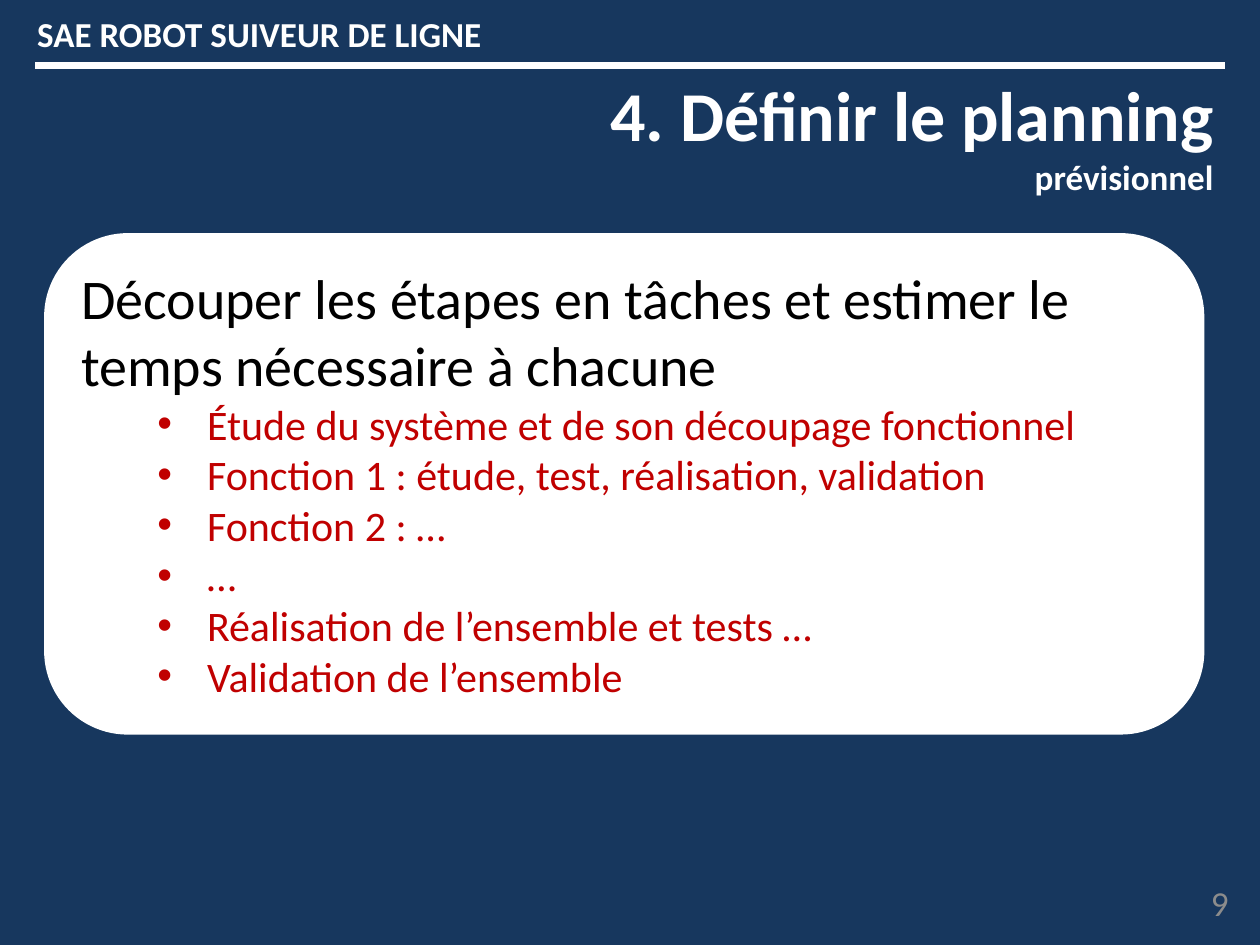
"""Build the planning slide of the line-following robot project."""
from lxml import etree
from pptx import Presentation
from pptx import util as u
from pptx.dml import color
from pptx.enum import shapes, text
from pptx.oxml import ns

HUES = {"navy": "17375E", "white": "FFFFFF", "black": "000000",
        "red": "C00000", "grey": "8C8C8C"}
BASE = {"name": "Calibri", "bold": False}
HEAD = {"name": "Calibri", "bold": True}
LEFT, RIGHT = text.PP_ALIGN.LEFT, text.PP_ALIGN.RIGHT
TOP, MID = text.MSO_ANCHOR.TOP, text.MSO_ANCHOR.MIDDLE
TASKS = ["Étude du système et de son découpage fonctionnel",
         "Fonction 1 : étude, test, réalisation, validation",
         "Fonction 2 : …",
         "…",
         "Réalisation de l’ensemble et tests …",
         "Validation de l’ensemble"]


def hue(name):
    """Return a named colour."""
    return color.RGBColor.from_string(HUES[name])


def place(shape, *box):
    """Set left, top, width and height in centimetres."""
    for key, val in zip(("left", "top", "width", "height"), box):
        setattr(shape, key, u.Cm(val))


def style(font, size, tint, base):
    """Apply format values to a font."""
    for key, val in {**base, "size": u.Pt(size)}.items():
        setattr(font, key, val)
    font.color.rgb = hue(tint)


def frame(shape, wrap=True, anchor=TOP):
    """Prepare the text frame of a shape."""
    area = shape.text_frame
    vals = {"word_wrap": wrap, "vertical_anchor": anchor,
            "auto_size": text.MSO_AUTO_SIZE.NONE}
    for key, val in vals.items():
        setattr(area, key, val)
    return area


def write(para, words, size, tint, base=BASE, align=LEFT):
    """Add a formatted run to a paragraph."""
    vals = {"alignment": align, "space_before": u.Pt(0), "line_spacing": 1.0}
    for key, val in vals.items():
        setattr(para, key, val)
    run = para.add_run()
    run.text = words
    style(run.font, size, tint, base)


def mark(para, left=0, hang=0, sign=None):
    """Set the indents and the bullet of a paragraph."""
    props = para._p.get_or_add_pPr()
    props.set("marL", str(u.Cm(left)))
    props.set("indent", str(-u.Cm(hang)))
    if sign:
        etree.SubElement(props, ns.qn("a:buFont"), typeface="Arial")
        etree.SubElement(props, ns.qn("a:buChar"), char=sign)
    else:
        etree.SubElement(props, ns.qn("a:buNone"))


def title(slide, main_line, sub_line):
    """Fill the title with a large line and a small one."""
    shape = slide.shapes.title
    place(shape, 11.89, 1.32, 12.83, 2.82)
    para = frame(shape, wrap=False).paragraphs[0]
    write(para, main_line, 40, "white", HEAD, RIGHT)
    para.add_line_break()
    write(para, sub_line, 20, "white", HEAD, RIGHT)


def label(slide, words, box, tint, base=BASE, align=LEFT, anchor=TOP):
    """Add a one-line text box."""
    shape = slide.shapes.add_textbox(*map(u.Cm, box))
    area = frame(shape, anchor=anchor)
    write(area.paragraphs[0], words, 20, tint, base, align)


def rule(slide, left, right, top):
    """Draw the white header line."""
    ends = map(u.Cm, (left, top, right, top))
    line = slide.shapes.add_connector(shapes.MSO_CONNECTOR.STRAIGHT, *ends)
    line.line.color.rgb = hue("white")
    line.line.width = u.Pt(4)
    etree.SubElement(line._element.spPr, ns.qn("a:effectLst"))


def panel(slide, *box):
    """Draw the rounded white panel behind the text."""
    kind = shapes.MSO_SHAPE.ROUNDED_RECTANGLE
    shape = slide.shapes.add_shape(kind, *map(u.Cm, box))
    shape.shadow.inherit = False
    shape.fill.solid()
    shape.fill.fore_color.rgb = hue("white")
    shape.line.fill.background()
    slide.shapes._spTree.insert(2, shape._element)


def tasks(slide, intro, items, *box):
    """Fill the body with an introduction and bulleted tasks."""
    body = slide.placeholders[1]
    place(body, *box)
    area = frame(body)
    para = area.paragraphs[0]
    mark(para)
    write(para, intro, 32, "black")
    for item in items:
        para = area.add_paragraph()
        mark(para, 2.54, 1, "•")
        write(para, item, 24, "red")


def main():
    """Build and save the slide."""
    deck = Presentation()
    deck.slide_width, deck.slide_height = u.Cm(25.4), u.Cm(19.05)
    slide = deck.slides.add_slide(deck.slide_layouts[1])
    fill = slide.background.fill
    fill.solid()
    fill.fore_color.rgb = hue("navy")

    left, top, wide, high, pad = 0.89, 4.7, 23.39, 10.11, 0.49
    panel(slide, left, top, wide, high)
    title(slide, "4. Définir le planning", "prévisionnel")
    rule(slide, 0.71, 24.69, 1.32)
    label(slide, "SAE ROBOT SUIVEUR DE LIGNE", (0.5, 0.13, 9.55, 1.12),
          "white", HEAD)
    tasks(slide, "Découper les étapes en tâches et estimer le temps "
          "nécessaire à chacune", TASKS,
          left + pad, top + pad, wide - 2 * pad, high - 2 * pad)
    label(slide, "9", (19.1, 17.68, 5.92, 1.02), "grey",
          align=RIGHT, anchor=MID)
    deck.save("out.pptx")


if __name__ == "__main__":
    main()
